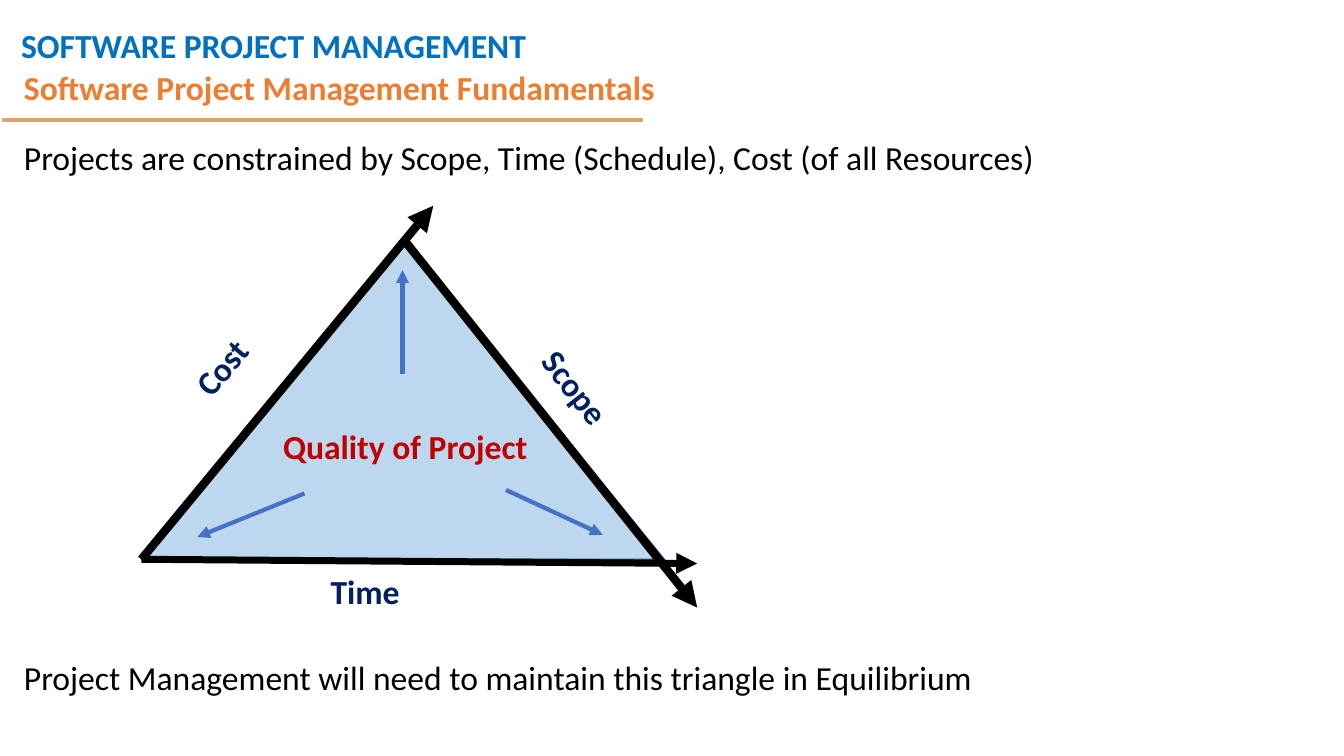
from pptx import Presentation
from pptx.dml.color import RGBColor
from pptx.enum.shapes import MSO_CONNECTOR as Connector, MSO_SHAPE as Shape
from pptx.enum.text import PP_ALIGN as Align
from pptx.oxml.ns import qn
from pptx.util import Pt
from lxml.etree import SubElement

FONT = "Calibri"
TEXT_HEIGHT = 36
BLACK, NAVY, BLUE = "000000", "002060", "4472C4"


def color(value):
    return RGBColor.from_string(value)


def add_text(slide, text, left, top, width, text_color, bold=True,
             align=Align.LEFT, rotation=0):
    shape = slide.shapes.add_textbox(Pt(left), Pt(top), Pt(width), Pt(TEXT_HEIGHT))
    shape.rotation = rotation
    text_frame = shape.text_frame
    text_frame.word_wrap = True
    text_frame.text = text
    paragraph = text_frame.paragraphs[0]
    paragraph.alignment = align
    font = paragraph.runs[0].font
    font.name = FONT
    font.size = Pt(24)
    font.bold = bold
    font.color.rgb = color(text_color)


def add_line(slide, start, end, line_color, width, arrow=True):
    points = [Pt(value) for value in (*start, *end)]
    connector = slide.shapes.add_connector(Connector.STRAIGHT, *points)
    connector.line.color.rgb = color(line_color)
    connector.line.width = Pt(width)
    if arrow:
        SubElement(connector.line._get_or_add_ln(), qn("a:tailEnd"), type="triangle")
    SubElement(connector._element.spPr, qn("a:effectLst"))


def add_triangle(slide, left, top, width, height):
    shape = slide.shapes.add_shape(
        Shape.ISOSCELES_TRIANGLE, Pt(left), Pt(top), Pt(width), Pt(height))
    shape.shadow.inherit = False
    shape.fill.solid()
    shape.fill.fore_color.rgb = color("BDD7EE")
    shape.line.color.rgb = color("325491")
    shape.line.width = Pt(1)


def add_headings(slide):
    add_text(slide, "SOFTWARE PROJECT MANAGEMENT", 8, 14.5, 402, "0070C0")
    add_line(slide, (1.5, 85.8), (459.5, 85.8), "DFA267", 3, arrow=False)
    add_text(slide, "Software Project Management Fundamentals",
             10, 44.5, 828, "ED7D31")


def add_statements(slide):
    statements = [
        ("Projects are constrained by Scope, Time (Schedule), Cost (of all Resources)", 94.5),
        ("Project Management will need to maintain this triangle in Equilibrium", 465.5),
    ]
    for text, top in statements:
        add_text(slide, text, 10, top, 749, BLACK, bold=False)


def add_constraint_triangle(slide):
    add_triangle(slide, 101, 170, 373.5, 229.5)
    add_text(slide, "Quality of Project", 188.5, 300.5, 202, "C00000",
             align=Align.CENTER)
    for text, left, top, width, rotation in [
        ("Time", 229, 404.5, 76, 0),
        ("Cost", 127.5, 240.5, 67, 310),
        ("Scope", 374.5, 259, 74, 52),
    ]:
        add_text(slide, text, left, top, width, NAVY, rotation=rotation)

    corner, apex = (101, 399.5), (287.5, 170)
    for start, end, width in [
        (corner, (498, 402.5), 5),
        (apex, (498, 434), 6),
        (corner, (309.5, 147), 6),
    ]:
        add_line(slide, start, end, BLACK, width)

    for start, end in [
        ((287.5, 267), (287.5, 193)),
        ((217.5, 352.5), (141, 383.5)),
        ((361.5, 350), (430.5, 382)),
    ]:
        add_line(slide, start, end, BLUE, 3)


def main():
    presentation = Presentation()
    presentation.slide_width = Pt(960)
    presentation.slide_height = Pt(540)
    slide = presentation.slides.add_slide(presentation.slide_layouts[6])
    add_headings(slide)
    add_statements(slide)
    add_constraint_triangle(slide)
    presentation.save("out.pptx")


if __name__ == "__main__":
    main()
